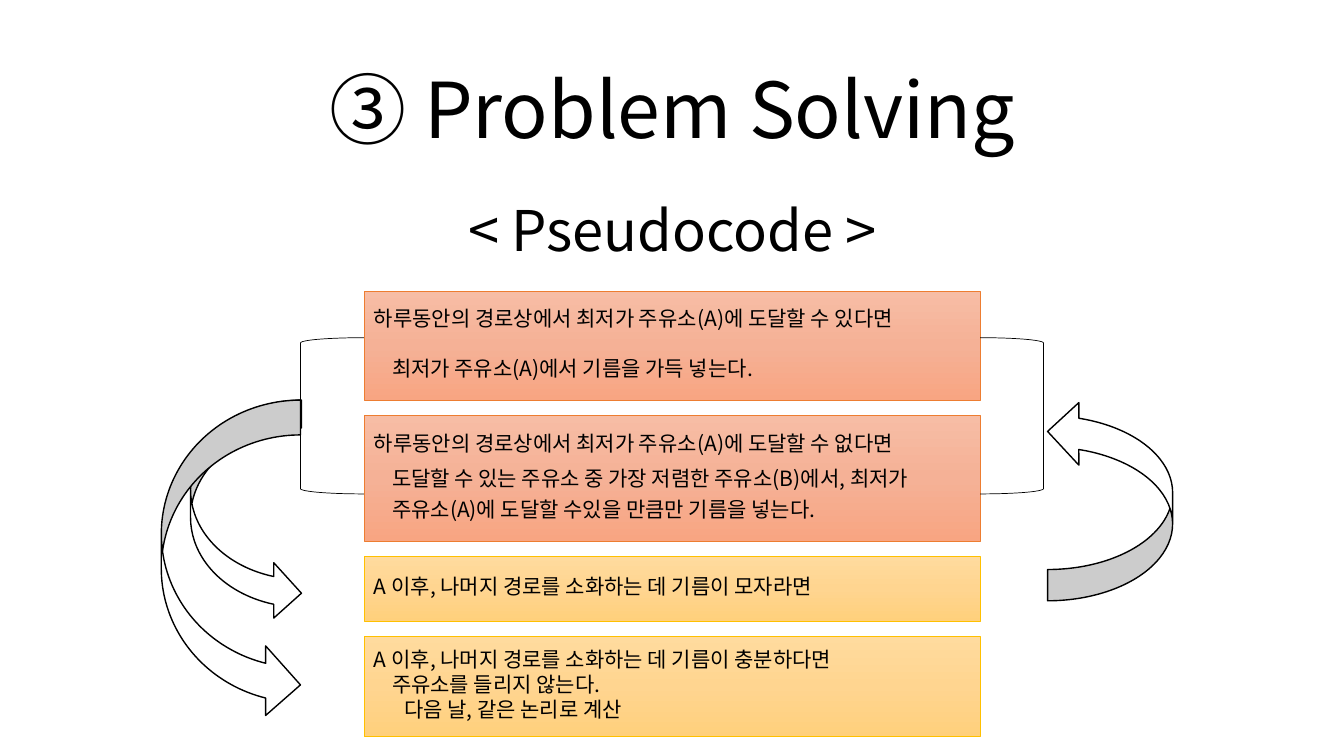
"""Build the pseudocode slide of the problem solving deck."""
from copy import deepcopy

from lxml import etree
from pptx import Presentation
from pptx import util as u
from pptx.dml.color import RGBColor
from pptx.enum import shapes, text
from pptx.oxml.ns import qn

PX = u.Inches(1) // 100
FONT = "Noto Sans CJK KR"
BLACK = RGBColor(0x00, 0x00, 0x00)
WHITE = RGBColor(0xFF, 0xFF, 0xFF)
ORANGE = RGBColor(0xED, 0x7D, 0x31)
GOLD = RGBColor(0xFF, 0xC0, 0x00)
ORANGE_STOPS = (RGBColor(0xF7, 0xBD, 0xA5), RGBColor(0xF5, 0xB1, 0x96), RGBColor(0xF8, 0xA5, 0x82))
GOLD_STOPS = (RGBColor(0xFF, 0xDB, 0x9E), RGBColor(0xFF, 0xD5, 0x90), RGBColor(0xFF, 0xD0, 0x7C))

STEP_GAP = 15
STEPS = [
    (108, ORANGE, ORANGE_STOPS, [
        ("하루동안의 경로상에서 최저가 주유소(A)에 도달할 수 있다면", 0, 0),
        ("최저가 주유소(A)에서 기름을 가득 넣는다.", 18, 18)]),
    (125, ORANGE, ORANGE_STOPS, [
        ("하루동안의 경로상에서 최저가 주유소(A)에 도달할 수 없다면", 0, 0),
        ("도달할 수 있는 주유소 중 가장 저렴한 주유소(B)에서, 최저가", 18, 7),
        ("주유소(A)에 도달할 수있을 만큼만 기름을 넣는다.", 18, 4)]),
    (64, GOLD, GOLD_STOPS, [
        ("A 이후, 나머지 경로를 소화하는 데 기름이 모자라면", 0, 0)]),
    (100, GOLD, GOLD_STOPS, [
        ("A 이후, 나머지 경로를 소화하는 데 기름이 충분하다면", 0, 0),
        ("주유소를 들리지 않는다.", 18, 0),
        ("다음 날, 같은 논리로 계산", 30, 0)]),
]


def scaled(*lengths):
    """Turn px lengths into EMU."""
    return [length * PX for length in lengths]


def add_span(para, words, size):
    """Add one run in the slide's font for Latin and Korean letters."""
    span = para.add_run()
    span.text = words
    span.font.size = u.Pt(size)
    span.font.name = FONT
    span.font.color.rgb = BLACK
    etree.SubElement(span.font._element, qn("a:ea"), typeface=FONT)


def write_heading(box, words, size):
    """Write one centred line into a title or text box."""
    frame = box.text_frame
    frame.word_wrap = True
    frame.vertical_anchor = text.MSO_ANCHOR.MIDDLE
    para = frame.paragraphs[0]
    para.alignment = text.PP_ALIGN.CENTER
    para.line_spacing = 0.9
    add_span(para, words, size)


def add_headings(page, left, top, width):
    """Place the title and the subtitle below it."""
    title = page.shapes.title
    title.left, title.top, title.width, title.height = scaled(left, top, width, 145)
    write_heading(title, "③ Problem Solving", 55)
    subtitle = page.shapes.add_textbox(*scaled(left, top + 152, width, 80))
    write_heading(subtitle, "< Pseudocode >", 40)


def add_outline(page, kind, place, color, weight):
    """Add a shape without shadow and with a coloured line."""
    box = page.shapes.add_shape(kind, *scaled(*place))
    box.shadow.inherit = False
    box.line.color.rgb = color
    box.line.width = u.Pt(weight)
    return box


def fill_gradient(box, colors):
    """Fill a box from top to bottom with three evenly spaced colours."""
    box.fill.gradient()
    box.fill.gradient_angle = 270
    stop_list = box._element.spPr.find(".//" + qn("a:gsLst"))
    stop_list.insert(1, deepcopy(stop_list[0]))
    for index, (stop, color) in enumerate(zip(box.fill.gradient_stops, colors)):
        stop.position = index / 2
        stop.color.rgb = color


def add_step(page, place, line, colors, lines):
    """Add one pseudocode box with its indented lines."""
    box = add_outline(page, shapes.MSO_SHAPE.RECTANGLE, place, line, 0.5)
    fill_gradient(box, colors)
    frame = box.text_frame
    frame.word_wrap = True
    frame.vertical_anchor = text.MSO_ANCHOR.MIDDLE
    frame.margin_top, frame.margin_bottom = scaled(5, 10)
    for index, (words, indent, space) in enumerate(lines):
        para = frame.add_paragraph() if index else frame.paragraphs[0]
        para.alignment = text.PP_ALIGN.JUSTIFY
        para.space_before = u.Pt(space)
        para._p.get_or_add_pPr().set("marL", str(indent * PX))
        add_span(para, words, 15)


def add_steps(page, left, top, width):
    """Stack the pseudocode boxes with equal gaps."""
    for height, line, colors, lines in STEPS:
        add_step(page, (left, top, width, height), line, colors, lines)
        top += height + STEP_GAP


def add_brackets(page, left, top, width, height):
    """Join the first two boxes by a bracket on either side."""
    depth = 63
    for edge, turn in ((left - depth, 0), (left + width, 180)):
        bracket = add_outline(page, shapes.MSO_SHAPE.LEFT_BRACKET, (edge, top, depth, height), BLACK, 0.5)
        bracket.fill.background()
        bracket.rotation = turn


def add_loops(page, top):
    """Add the curved arrows that lead down on the left and back up on the right."""
    for left, width, height, turn in ((189, 110, 219, 0), (160, 138, 317, 0), (1039, 124, 199, 180)):
        arrow = add_outline(page, shapes.MSO_SHAPE.CURVED_RIGHT_ARROW, (left, top, width, height), BLACK, 1)
        arrow.fill.solid()
        arrow.fill.fore_color.rgb = WHITE
        arrow.rotation = turn


def main():
    """Build and save the deck."""
    deck = Presentation()
    deck.slide_width, deck.slide_height = scaled(1333, 750)
    page = deck.slides.add_slide(deck.slide_layouts[5])
    add_headings(page, 92, 40, 1150)
    add_steps(page, 361, 289, 611)
    add_brackets(page, 361, 335, 611, 155)
    add_loops(page, 397)
    deck.save("out.pptx")


if __name__ == "__main__":
    main()
